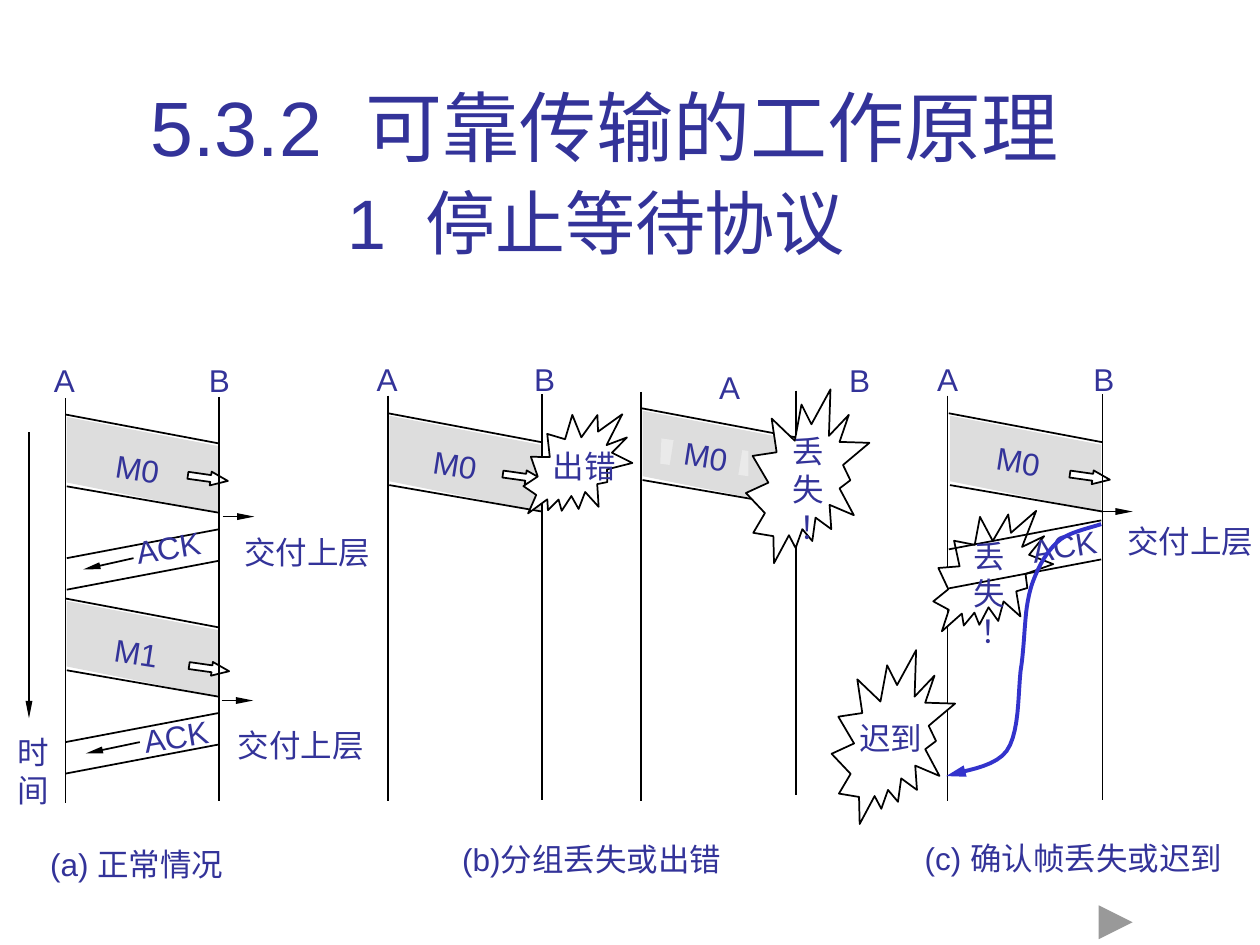
from dataclasses import dataclass

from lxml import etree
from pptx import Presentation
from pptx.dml.color import RGBColor
from pptx.enum.shapes import MSO_CONNECTOR, MSO_SHAPE
from pptx.enum.text import MSO_ANCHOR, MSO_AUTO_SIZE, PP_ALIGN
from pptx.oxml.ns import qn
from pptx.util import Emu, Inches, Pt

BLACK = RGBColor(0, 0, 0)
WHITE = RGBColor(255, 255, 255)
GRAY = RGBColor(0xDD, 0xDD, 0xDD)
PALE = RGBColor(0xEA, 0xEA, 0xEA)
NAVY = RGBColor(0x33, 0x33, 0x99)
BLUE = RGBColor(0x33, 0x33, 0xCC)
FONT = "Arial"
STRAIGHT = MSO_CONNECTOR.STRAIGHT
RECT, ARROW = MSO_SHAPE.RECTANGLE, MSO_SHAPE.RIGHT_ARROW
BURST, NEXT = MSO_SHAPE.EXPLOSION2, MSO_SHAPE.ACTION_BUTTON_FORWARD_OR_NEXT
LEFT, CENTER = PP_ALIGN.LEFT, PP_ALIGN.CENTER
TOP, BOTTOM = MSO_ANCHOR.TOP, MSO_ANCHOR.BOTTOM
GROW, FIXED = MSO_AUTO_SIZE.SHAPE_TO_FIT_TEXT, MSO_AUTO_SIZE.NONE

# All places are counted in cells of a grid of 100 columns by 75 rows.
prs = Presentation()
prs.slide_width, prs.slide_height = Inches(10), Inches(7.5)
COL, ROW = prs.slide_width / 100, prs.slide_height / 75
slide = prs.slides.add_slide(prs.slide_layouts[5])
shapes = slide.shapes

Point = tuple[float, float]


@dataclass
class Frame:
    x: float
    y: float
    text: str
    tag: Point
    patch: Point
    arrow: Point | None = None
    tint: RGBColor = GRAY


@dataclass
class Reply:
    x: float
    y: float
    gap: float


@dataclass
class Burst:
    x: float
    y: float
    w: float
    h: float
    turn: float = 0


@dataclass
class Label:
    x: float
    y: float
    w: float
    lines: tuple[str, ...]
    turn: float = 0
    wrap: bool = False


def cols(n: float) -> Emu:
    return Emu(round(n * COL))


def rows(n: float) -> Emu:
    return Emu(round(n * ROW))


def head(shape, width: str) -> None:
    """Put an arrowhead at the end of the line."""
    etree.SubElement(shape.line._get_or_add_ln(), qn("a:tailEnd"),
                     type="triangle", w=width, len="lg")


def draw_line(start: Point, end: Point, tip: bool = False) -> None:
    line = shapes.add_connector(STRAIGHT, cols(start[0]), rows(start[1]),
                                cols(end[0]), rows(end[1]))
    line.line.color.rgb, line.line.width = BLACK, Pt(1)
    if tip:
        head(line, "sm")
    etree.SubElement(line._element.spPr, qn("a:effectLst"))


def draw_shape(kind, x: float, y: float, w: float, h: float,
               turn: float = 0, fill: RGBColor = WHITE, edge: bool = True):
    shape = shapes.add_shape(kind, cols(x), rows(y), cols(w), rows(h))
    shape.shadow.inherit = False
    shape.rotation = turn
    shape.fill.solid()
    shape.fill.fore_color.rgb = fill
    if edge:
        shape.line.color.rgb, shape.line.width = BLACK, Pt(1)
    else:
        shape.line.fill.background()
    return shape


def draw_path(points: list[Point], close: bool = True):
    spots = [(cols(x), rows(y)) for x, y in points]
    pen = shapes.build_freeform(*spots[0])
    pen.add_line_segments(spots[1:], close=close)
    shape = pen.convert_to_shape()
    shape.shadow.inherit = False
    return shape


def draw_patch(x: float, y: float, outline: list[Point], tint: RGBColor) -> None:
    patch = draw_path([(x + dx, y + dy) for dx, dy in outline])
    patch.fill.solid()
    patch.fill.fore_color.rgb = tint
    patch.line.fill.background()


def add_run(para, text: str, size: float) -> None:
    run = para.add_run()
    run.text = text
    run.font.name, run.font.size = FONT, Pt(size)
    run.font.color.rgb = NAVY


def write(shape, lines: tuple[str, ...], wrap: bool = False) -> None:
    frame = shape.text_frame
    frame.word_wrap, frame.auto_size = wrap, GROW
    frame.vertical_anchor = TOP
    for i, text in enumerate(lines):
        para = frame.add_paragraph() if i else frame.paragraphs[0]
        para.alignment = LEFT
        add_run(para, text, 18)


def draw_frame(f: Frame) -> None:
    draw_patch(f.x, f.y, [(0, 0.2), (12, 2.5), (12, 7.8), (0, 5.4)], GRAY)
    draw_line((f.x - 0.1, f.y), (f.x + 12.1, f.y + 2.3))
    draw_line((f.x, f.y + 5.7), (f.x + 12.1, f.y + 7.8))
    draw_patch(*f.patch, [(0.1, 0), (7, 1), (7, 3), (0, 2)], f.tint)
    write(draw_shape(RECT, *f.tag, 5.5, 4, 9, GRAY, False), (f.text,))
    if f.arrow:
        arrow = draw_shape(ARROW, *f.arrow, 3.2, 1.1, 8)
        arrow.adjustments[0], arrow.adjustments[1] = 0.5, 1.25


def draw_label(t: Label) -> None:
    box = shapes.add_textbox(cols(t.x), rows(t.y), cols(t.w),
                             rows(1 + 3 * len(t.lines)))
    box.rotation = t.turn
    write(box, t.lines, t.wrap)


def bezier(a: Point, b: Point, c: Point, d: Point, steps: int = 10) -> list[Point]:
    """Points along a cubic curve, without its start."""
    def mix(i: int, t: float) -> float:
        s = 1 - t
        return (s**3 * a[i] + 3 * s * s * t * b[i]
                + 3 * s * t * t * c[i] + t**3 * d[i])
    return [(mix(0, k / steps), mix(1, k / steps)) for k in range(1, steps + 1)]


FRAMES = [
    Frame(5.3, 32.9, "M0", (8.2, 35.2), (6.6, 35.2), (14.9, 37.4)),
    Frame(5.3, 47.5, "M1", (8.1, 49.8), (6.5, 49.9), (15, 52.5)),
    Frame(51, 32.4, "M0", (53.3, 34.2), (52.4, 34.8), tint=PALE),
    Frame(30.9, 32.8, "M0", (33.4, 34.9), (31.8, 34.9), (39.9, 37.3)),
    Frame(75.4, 32.8, "M0", (78.1, 34.6), (76.5, 34.6), (84.9, 37.3)),
]
POSTS = [(5.2, 31.6, 63.7), (17.4, 31.5, 63.6), (30.8, 31.4, 63.6),
         (43, 31.3, 63.5), (50.9, 31.1, 63.6), (63.2, 31, 63.1),
         (75.2, 31.4, 63.6), (87.5, 31.3, 63.5)]
BURSTS = [Burst(59.2, 30.9, 9.8, 13.8), Burst(42.2, 31.8, 7.5, 10.3, 25.1),
          Burst(74.6, 39.7, 8.5, 11.5, 19.4), Burst(66, 51.6, 9.8, 13.8)]
REPLIES = [Reply(5.3, 42, 2.5), Reply(5.2, 56.6, 2.5), Reply(75.3, 41.3, 3.1)]
TIPS = [((2.3, 34.3), (2.3, 57)), ((17.7, 41), (20.2, 41)),
        ((17.6, 55.6), (20.1, 55.6)), ((87.5, 40.6), (89.9, 40.6)),
        ((10.6, 44.3), (6.6, 45.2)), ((11.1, 58.9), (6.8, 59.8))]
LOST = ("丢", "失", " ！")
PASSED = ("交付上层",)
LABELS = [
    Label(0.4, 57.7, 4.5, ("时", "间")),
    *(Label(x, y, 3.7, ("A",)) for x, y in
      [(3.3, 28.2), (28.9, 28.1), (56.1, 28.7), (73.4, 28.1)]),
    *(Label(x, y, 3.7, ("B",)) for x, y in
      [(15.6, 28.2), (41.4, 28.1), (66.4, 28.2), (85.8, 28.1)]),
    *(Label(x, y, 7.2, ("ACK",), 351) for x, y in
      [(9.8, 41.4), (10.4, 56.4), (80.9, 41.3)]),
    *(Label(x, y, 12, PASSED) for x, y in
      [(18.4, 41.8), (17.9, 57.1), (88.5, 40.9)]),
    Label(61.9, 33.8, 5.1, LOST),
    Label(76.3, 42.1, 5.1, LOST),
    Label(42.9, 35, 7, ("出错",)),
    Label(67.2, 56.6, 7, ("迟到",)),
    Label(3, 66.6, 16.4, ("(a) 正常情况",)),
    Label(35.7, 66.2, 26.3, ("(b)分组丢失或出错",), wrap=True),
    Label(72.4, 66.1, 26.2, ("(c) 确认帧丢失或迟到",)),
]
CURVE = [(87.4, 41.6), (86.9, 41.8), (85, 42.2), (84.2, 42.8),
         (83.3, 43.5), (82.7, 44.5), (82.3, 45.4),
         (81.9, 46.3), (81.7, 46.9), (81.5, 48.2),
         (81.3, 49.6), (81.3, 51.4), (81, 53.3),
         (80.8, 55.2), (80.9, 58.2), (79.9, 59.6),
         (78.9, 61), (76.1, 61.2), (75.1, 61.6)]

title = shapes.title
title.left, title.top = cols(5.4), rows(5.5)
title.width, title.height = cols(85.2), rows(16)
title.text_frame.vertical_anchor = BOTTOM
title.text_frame.word_wrap, title.text_frame.auto_size = True, FIXED
para = title.text_frame.paragraphs[0]
para.alignment = CENTER
add_run(para, "5.3.2  可靠传输的工作原理", 44)
para.add_line_break()
add_run(para, "1  停止等待协议", 40)
add_run(para, " ", 44)

for frame in FRAMES:
    draw_frame(frame)
for x, top, end in POSTS:
    draw_line((x, top), (x, end))
for b in BURSTS:
    draw_shape(BURST, b.x, b.y, b.w, b.h, b.turn)
for r in REPLIES:
    for y in (r.y, r.y + r.gap):
        draw_line((r.x + 12.1, y), (r.x, y + 2.3))
for start, end in TIPS:
    draw_line(start, end, True)
for label in LABELS:
    draw_label(label)

points = CURVE[:1]
for i in range(0, len(CURVE) - 1, 3):
    points += bezier(*CURVE[i:i + 4])
late = draw_path(points, close=False)
late.fill.background()
late.line.color.rgb, late.line.width = BLUE, Pt(2.25)
head(late, "med")

draw_shape(NEXT, 86.2, 71.4, 4.7, 3.6, edge=False)
prs.save("out.pptx")
